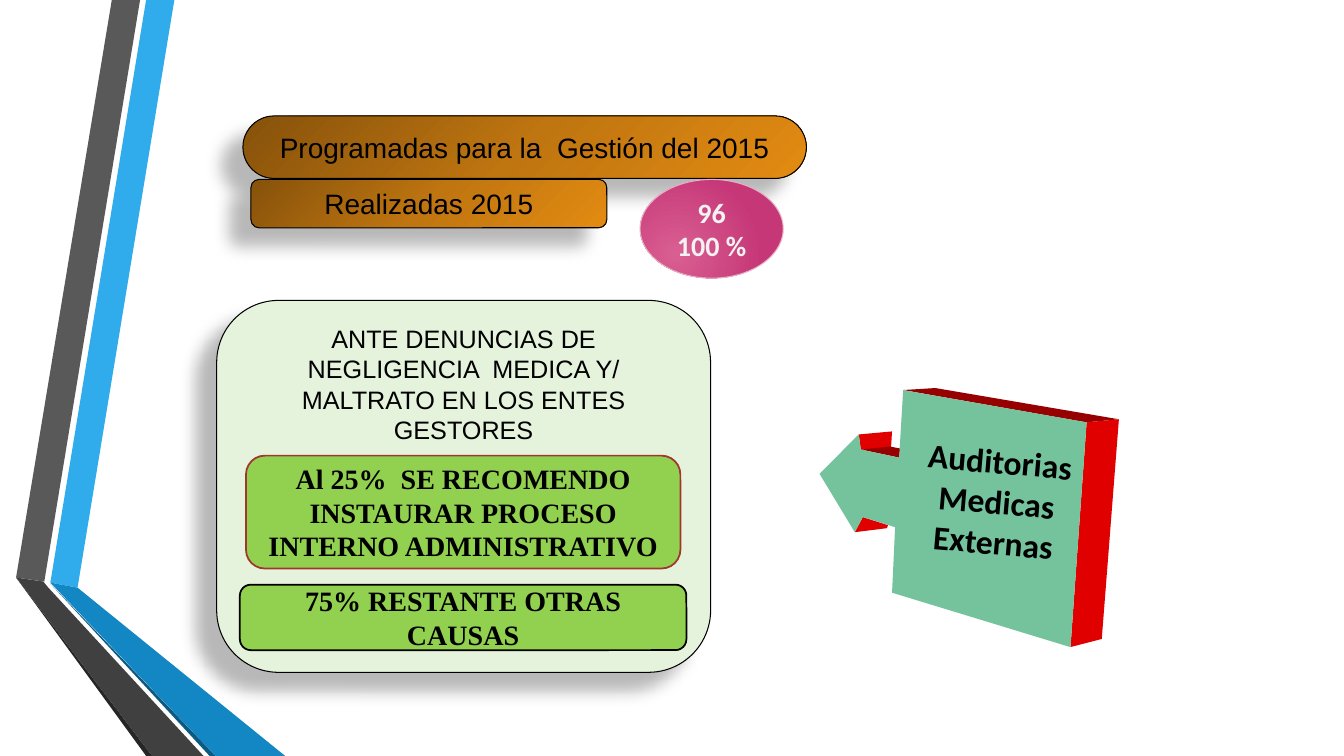
from lxml.etree import SubElement
from pptx import Presentation
from pptx.dml.color import RGBColor
from pptx.enum.shapes import MSO_SHAPE as Preset
from pptx.enum.text import MSO_ANCHOR as Anchor, PP_ALIGN as Align
from pptx.oxml.ns import qn
from pptx.util import Inches, Pt

CELL = Inches(0.1)  # side of one grid cell
COLUMNS, ROWS = 133.33, 75

COLORS = {
    "black": "000000", "white": "F2F2F2",
    "blue": "30ACEC", "deep_blue": "1287C3", "dark_blue": "0C5A82",
    "gray": "595959", "deep_gray": "404040", "dark_gray": "262626",
    "mint": "75C39D", "red": "E00000", "dark_red": "960000",
    "brown": "86520B", "amber": "BF7510", "orange": "E28B12",
    "pink": "D95F92", "magenta": "C63777", "pale_pink": "E8B1C3",
    "pale_green": "E6F3DC", "green": "92D050", "brick": "9E372C",
}
FONTS = {
    "arial": {"name": "Arial", "size": Pt(20), "bold": False},
    "small_arial": {"name": "Arial", "size": Pt(18), "bold": False},
    "times": {"name": "Times New Roman", "size": Pt(20), "bold": True},
    "calibri": {"name": "Calibri", "size": Pt(20), "bold": True},
    "big_calibri": {"name": "Calibri", "size": Pt(24), "bold": True},
}
BRONZE = [(0, "brown"), (50, "amber"), (100, "orange")]
ROSE = [(0, "pink"), (100, "magenta")]


def cells(count):
    return round(count * CELL)


def rgb(name):
    return RGBColor.from_string(COLORS[name])


def add_xml(parent, tag, **attributes):
    return SubElement(parent, qn(tag), {key: str(value) for key, value in attributes.items()})


class SlideBuilder:
    """Draws on one slide; every length is a number of grid cells."""

    def __init__(self, slide):
        self.shapes = slide.shapes

    def polygon(self, color, points):
        start, *rest = [(cells(x), cells(y)) for x, y in points]
        builder = self.shapes.build_freeform(*start, scale=1.0)
        builder.add_line_segments(rest, close=True)
        outline = builder.convert_to_shape()
        outline.shadow.inherit = False
        outline.fill.solid()
        outline.fill.fore_color.rgb = rgb(color)
        outline.line.fill.background()

    def panel(self, preset, box, fill, line, text, font, *, line_width=0.75,
              color="black", anchor=Anchor.MIDDLE, corner=None, shadow=False):
        panel = self.shapes.add_shape(preset, *map(cells, box))
        if corner is not None:
            panel.adjustments[0] = corner
        panel.shadow.inherit = False
        panel.fill.solid()
        if isinstance(fill, list):
            self.gradient(panel, fill, radial=preset == Preset.OVAL)
        else:
            panel.fill.fore_color.rgb = rgb(fill)
        panel.line.color.rgb = rgb(line)
        panel.line.width = Pt(line_width)
        if shadow:
            self.cast_shadow(panel)
        self.set_text(panel.text_frame, [text], font, color, anchor)

    def label(self, box, lines, font, rotation):
        label = self.shapes.add_textbox(*map(cells, box))
        label.rotation = rotation
        self.set_text(label.text_frame, lines, font, "black", Anchor.TOP)

    def set_text(self, frame, lines, font, color, anchor):
        frame.word_wrap = True
        frame.vertical_anchor = anchor
        for index, line in enumerate(lines):
            paragraph = frame.add_paragraph() if index else frame.paragraphs[0]
            paragraph.text = line
            paragraph.alignment = Align.CENTER
            for run in paragraph.runs:
                for key, value in FONTS[font].items():
                    setattr(run.font, key, value)
                run.font.color.rgb = rgb(color)

    def gradient(self, panel, stops, radial):
        """Put a gradient in place of the solid fill."""
        properties = panel._element.spPr
        solid = properties.find(qn("a:solidFill"))
        gradient = add_xml(properties, "a:gradFill", rotWithShape=1)
        properties.replace(solid, gradient)
        stop_list = add_xml(gradient, "a:gsLst")
        for position, color in stops:
            stop = add_xml(stop_list, "a:gs", pos=position * 1000)
            add_xml(stop, "a:srgbClr", val=COLORS[color])
        if radial:
            circle = add_xml(gradient, "a:path", path="circle")
            add_xml(circle, "a:fillToRect", l=50000, t=100000, r=100000, b=50000)
        else:
            add_xml(gradient, "a:lin", ang=45 * 60000, scaled=0)

    def cast_shadow(self, panel):
        effects = panel._element.spPr.find(qn("a:effectLst"))
        shadow = add_xml(effects, "a:outerShdw", blurRad=Pt(11.8), dist=Pt(19.7),
                         dir=141 * 60000, algn="ctr", rotWithShape=0)
        shade = add_xml(shadow, "a:srgbClr", val=COLORS["black"])
        add_xml(shade, "a:alpha", val=28000)


RIBBONS = [
    ("blue", [(5, 57.8), (7.7, 58.3), (17.3, 0), (14.5, 0)]),
    ("gray", [(13.9, 0), (11.1, 0), (1.6, 57.3), (4.4, 57.7)]),
    ("dark_gray", [(1.6, 57.3), (14.5, ROWS), (15.1, ROWS)]),
    ("dark_blue", [(5, 57.9), (20.8, ROWS), (21.4, ROWS)]),
    ("deep_blue", [(5, 57.8), (21.4, ROWS), (28.3, ROWS), (7.7, 58.3)]),
    ("deep_gray", [(20.2, ROWS), (4.8, 58.3), (4.3, 57.7), (1.6, 57.3), (15.1, ROWS)]),
]
CALLOUT_FACES = [
    ("red", [(85.2, 43.1), (88.5, 42.8), (88.4, 44.4), (85.4, 44.6)]),
    ("dark_red", [(85.4, 44.6), (88.3, 44.3), (89.3, 44.5), (89.2, 45.4)]),
    ("red", [(84.8, 52.8), (85.6, 51.3), (88.1, 52.1), (88, 52.4)]),
    ("dark_red", [(89.6, 38.7), (92.8, 38.5), (111, 41.6), (107.8, 41.9)]),
    ("red", [(107.8, 41.9), (111, 41.6), (109.3, 63.4), (106.2, 64.2)]),
    ("mint", [(89.6, 38.7), (107.8, 41.9), (106.2, 64.2), (88.5, 58.8),
              (88.8, 52.3), (85.6, 51.3), (84.8, 52.8), (81.3, 47),
              (85.2, 43.1), (85.4, 44.6), (89.2, 45.4)]),
]


def main():
    deck = Presentation()
    deck.slide_width, deck.slide_height = cells(COLUMNS), cells(ROWS)
    audit = SlideBuilder(deck.slides.add_slide(deck.slide_layouts[6]))

    for color, points in RIBBONS + CALLOUT_FACES:
        audit.polygon(color, points)

    raised = {"anchor": Anchor.TOP, "shadow": True}
    audit.panel(Preset.ROUNDED_RECTANGLE, (24.1, 11.5, 55.9, 6.2), BRONZE, "black",
                "Programadas para la  Gestión del 2015", "arial", corner=0.5, **raised)
    audit.panel(Preset.ROUNDED_RECTANGLE, (24.9, 17.8, 35.3, 4.8), BRONZE, "black",
                "Realizadas 2015", "arial", **raised)
    audit.label((86.4, 43.2, 24.6, 17.2), ["Auditorias", "Medicas", "Externas"],
                "big_calibri", rotation=5)
    audit.panel(Preset.OVAL, (63.5, 17.8, 14.2, 9.8), ROSE, "pale_pink",
                "96\v100 %", "calibri", color="white")
    audit.panel(Preset.ROUNDED_RECTANGLE, (21.5, 29.8, 49, 36.9), "pale_green", "black",
                "ANTE DENUNCIAS DE NEGLIGENCIA  MEDICA Y/ MALTRATO EN LOS ENTES GESTORES",
                "small_arial", **raised)
    audit.panel(Preset.FLOWCHART_ALTERNATE_PROCESS, (24.4, 45.2, 43.1, 11.2), "green", "brick",
                "Al 25%  SE RECOMENDO INSTAURAR PROCESO INTERNO ADMINISTRATIVO",
                "times", line_width=1.25)
    audit.panel(Preset.ROUNDED_RECTANGLE, (23.8, 58, 44.3, 6.5), "green", "black",
                "75% RESTANTE OTRAS CAUSAS", "times", line_width=1.25)

    deck.save("out.pptx")


if __name__ == "__main__":
    main()
